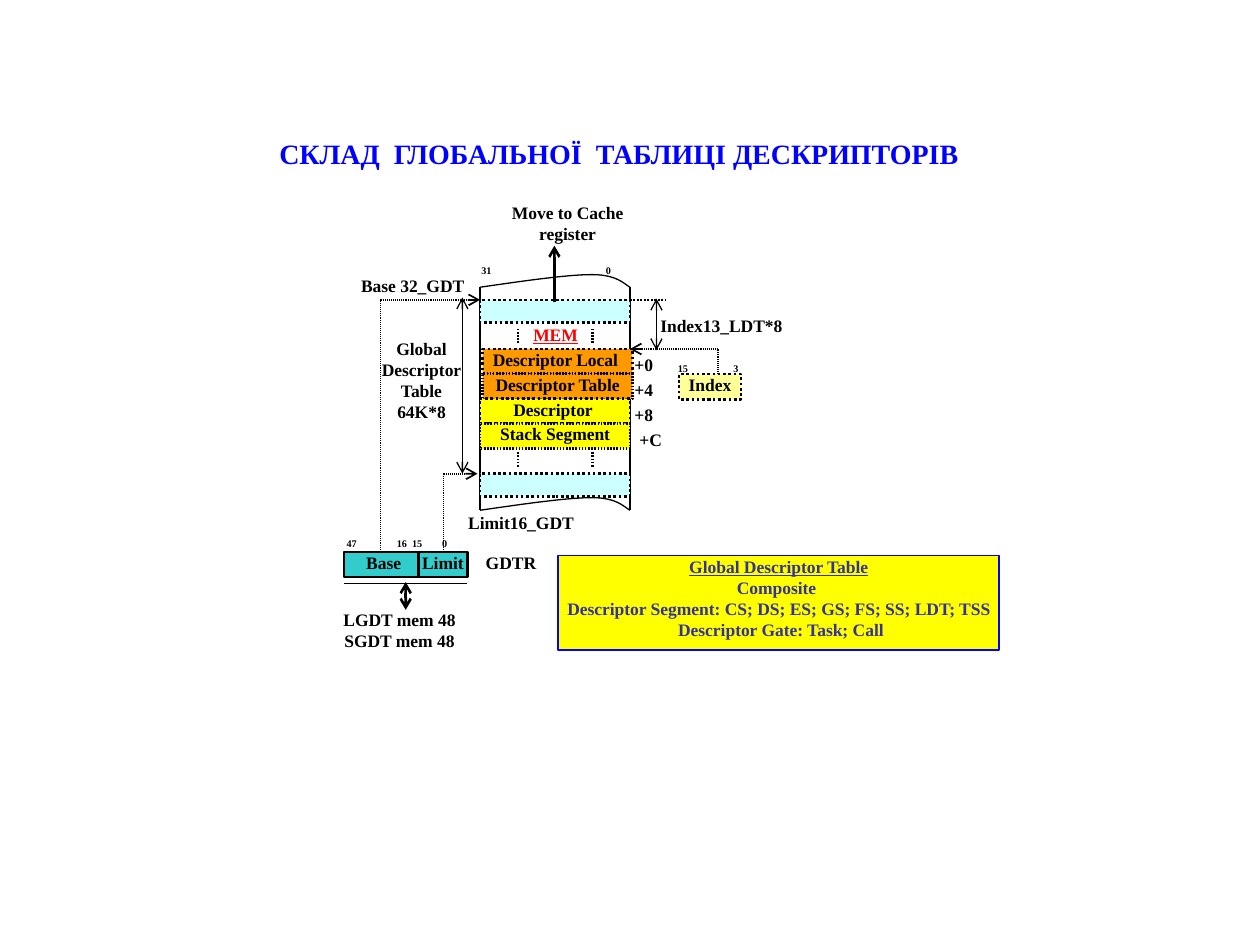
"""Build a slide on the composition of the global descriptor table."""
from lxml.etree import SubElement
from pptx import Presentation
from pptx.dml.color import RGBColor
from pptx.enum.dml import MSO_LINE_DASH_STYLE as Dash
from pptx.enum.shapes import MSO_CONNECTOR as Link, MSO_SHAPE as Shape
from pptx.enum.text import MSO_ANCHOR as Anchor, MSO_AUTO_SIZE as Fit, PP_ALIGN as Align
from pptx.oxml.ns import qn
from pptx.util import Inches, Pt

BLACK = RGBColor(0, 0, 0)
WHITE = RGBColor(255, 255, 255)
RED = RGBColor(255, 0, 0)
BLUE = RGBColor(0, 0, 255)
INDIGO = RGBColor(0x33, 0x33, 0x99)
YELLOW = RGBColor(255, 255, 0)
CREAM = RGBColor(255, 255, 0x99)
ORANGE = RGBColor(255, 0x99, 0)
CYAN = RGBColor(0xCC, 255, 255)
TEAL = RGBColor(0x33, 0xCC, 0xCC)
FONT = "Times New Roman"
FINE = "fine"

LEFT, WIDTH = 3.81, 1.19
RIGHT = LEFT + WIDTH
TOP, BOTTOM = 2.28, 4.05
TABLE_TOP, TABLE_END, ENTRY = 2.38, 3.76, 2.77
ROW, BAND = 0.2, 0.18
REGISTER = 4.38

TITLE = [("СКЛАД", 0), (" ", 4), ("ГЛОБАЛЬНОЇ", 0), (" ", 4), ("ТАБЛИЦІ ДЕСКРИПТОРІВ ", 0)]
LABELS = [
    (["Move to Cache", "register"], 4.01, 1.6, 0.99, 0.41),
    (["Limit16_GDT"], 3.62, 4.06, 1.03, 0.2),
    (["Base 32_GDT"], 2.84, 2.18, 0.87, 0.2),
    (["Index13_LDT*8"], 5.19, 2.5, 1.07, 0.19),
    (["Global", "Descriptor", "Table", "64K*8"], 3.02, 2.68, 0.65, 0.71),
    (["LGDT mem 48", "SGDT mem 48"], 2.63, 4.83, 1.08, 0.3),
    (["GDTR"], 3.81, REGISTER, 0.49, 0.16),
]
BITS = [
    (2.08, [("31", 3.82), ("0", 4.81)]),
    (2.86, [("15", 5.38), ("3", 5.82)]),
    (4.25, [("47", 2.75), ("16", 3.15), ("15", 3.27), ("0", 3.51)]),
]
ENTRIES = [
    ("Descriptor Local ", ORANGE, Dash.ROUND_DOT, 0.02, "+0", 0.16),
    ("Descriptor Table", ORANGE, FINE, 0.02, "+4", 0.16),
    ("Descriptor ", YELLOW, Dash.ROUND_DOT, 0, "+8", 0.16),
    ("Stack Segment", YELLOW, FINE, 0, "+C", 0.27),
]
REGISTERS = [
    ("Base", TEAL, 2.73, REGISTER, 0.63, Dash.SOLID),
    ("Limit", TEAL, 3.32, REGISTER, 0.39, Dash.SOLID),
    ("Index", CREAM, 5.39, 2.97, 0.49, Dash.ROUND_DOT),
]
SUMMARY = [
    "Global Descriptor Table",
    "Composite ",
    "Descriptor Segment: CS; DS; ES; GS; FS; SS; LDT; TSS",
    " Descriptor Gate: Task; Call",
]
LINES = [
    (3.02, REGISTER, 3.02, TABLE_TOP, 1, "", FINE),
    (3.02, TABLE_TOP, LEFT, TABLE_TOP, 1, "tail", FINE),
    (3.52, REGISTER, 3.52, TABLE_END, 1, "", FINE),
    (3.52, TABLE_END, 3.79, TABLE_END, 1, "tail", FINE),
    (RIGHT, TABLE_TOP, 5.29, TABLE_TOP, 1, "", Dash.ROUND_DOT),
    (5.7, ENTRY, RIGHT, ENTRY, 1, "tail", FINE),
    (5.7, 2.97, 5.7, ENTRY, 1, "", FINE),
    (3.67, 2.36, 3.67, TABLE_END, 0.75, "head tail", Dash.SOLID),
    (5.21, 2.37, 5.21, 2.78, 0.75, "head tail", Dash.SOLID),
    (2.73, 4.63, 3.71, 4.63, 0.5, "", Dash.SOLID),
    (3.22, 4.84, 3.22, 4.62, 1.5, "head tail", Dash.SOLID),
    (4.4, 2.4, 4.4, 1.95, 1.5, "tail", Dash.SOLID),
]
ARC = [(0, 0.1), (0.35, 0.05), (0.69, 0), (0.89, 0), (1.09, 0), (1.15, 0.08), (WIDTH, 0.1)]


def add_span(para, text, size, color, gap=0):
    span = para.add_run()
    span.text = text
    for name, value in dict(name=FONT, size=Pt(size), bold=True).items():
        setattr(span.font, name, value)
    span.font.color.rgb = color
    if gap:
        span.font._element.set("spc", str(gap * 100))


def write(shape, lines, size=10, color=BLACK, align=Align.CENTER):
    frame = shape.text_frame
    settings = dict(margin_left=0, margin_right=0, margin_top=0, margin_bottom=0,
                    auto_size=Fit.NONE, word_wrap=True, vertical_anchor=Anchor.TOP)
    for name, value in settings.items():
        setattr(frame, name, value)
    for index, line in enumerate(lines):
        para = frame.add_paragraph() if index else frame.paragraphs[0]
        para.alignment = align
        for text, gap in [(line, 0)] if isinstance(line, str) else line:
            add_span(para, text, size, color, gap)
    return frame


def set_line(line, color, weight, dash):
    line.color.rgb = color
    line.width = Pt(weight)
    if dash == FINE:
        pattern = SubElement(line._get_or_add_ln(), qn("a:custDash"))
        SubElement(pattern, qn("a:ds"), d="60000", sp="60000")
    else:
        line.dash_style = dash


def add_box(page, lines, x, y, w, h, fill=WHITE, line=None, dash=Dash.SOLID, weight=1.5, **text):
    box = page.shapes.add_shape(Shape.RECTANGLE, *map(Inches, (x, y, w, h)))
    box.shadow.inherit = False
    box.fill.solid()
    box.fill.fore_color.rgb = fill
    if line is None:
        box.line.fill.background()
    else:
        set_line(box.line, line, weight, dash)
    return write(box, lines, **text)


def add_line(page, x1, y1, x2, y2, weight, ends="", dash=Dash.SOLID):
    line = page.shapes.add_connector(Link.STRAIGHT, *map(Inches, (x1, y1, x2, y2)))
    set_line(line.line, BLACK, weight, dash)
    for end in ends.split():
        SubElement(line.line._get_or_add_ln(), qn(f"a:{end}End"), type="arrow")
    SubElement(line._element.spPr, qn("a:effectLst"))


def add_arc(page, top, steps=16):
    points = []
    for curve in (ARC[:4], ARC[3:]):
        for step in range(steps + 1):
            t = step / steps
            shares = ((1 - t) ** 3, 3 * t * (1 - t) ** 2, 3 * t * t * (1 - t), t ** 3)
            x, y = (sum(s * p[axis] for s, p in zip(shares, curve)) for axis in (0, 1))
            points.append((Inches(LEFT + x), Inches(top + y)))
    builder = page.shapes.build_freeform(*points[0])
    builder.add_line_segments(points[1:], close=False)
    arc = builder.convert_to_shape()
    arc.shadow.inherit = False
    arc.fill.background()
    set_line(arc.line, BLACK, 0.75, Dash.SOLID)


def main():
    deck = Presentation()
    deck.slide_width, deck.slide_height = Inches(10), Inches(7.5)
    page = deck.slides.add_slide(deck.slide_layouts[5])
    title = page.shapes.title
    title.left, title.top, title.width, title.height = map(Inches, (2, 1.08, 5.88, 0.25))
    write(title, [TITLE], size=16, color=BLUE)

    for label in LABELS:
        add_box(page, *label)
    memory = add_box(page, ["MEM"], 4.21, 2.57, 0.4, 0.16, color=RED)
    memory.paragraphs[0].runs[0].font.underline = True
    for y, marks in BITS:
        for text, x in marks:
            bit = add_box(page, [text], x, y, 0.06 * len(text), 0.12, align=Align.LEFT)
            bit.word_wrap = True
            bit.paragraphs[0].runs[0].font._element.set("baseline", "30000")
    for x in (LEFT, RIGHT):
        add_line(page, x, TOP, x, BOTTOM, 1.5)
    for y in (TABLE_TOP, TABLE_END):
        add_box(page, [], LEFT, y, WIDTH, BAND, CYAN, BLACK, Dash.ROUND_DOT)
    for index, (text, fill, dash, shift, offset, width) in enumerate(ENTRIES):
        y = ENTRY + index * (ROW - 0.003)
        add_box(page, [offset], 5.03, y + 0.04, width, 0.16)
        add_box(page, [text], LEFT + shift, y, WIDTH, ROW, fill, BLACK, dash)
    for text, fill, x, y, width, dash in REGISTERS:
        add_box(page, [text], x, y, width, ROW, fill, BLACK, dash)

    for y in (TOP, BOTTOM):
        add_arc(page, y - 0.1)
    for x in (4.11, 4.7):
        for y in (2.61, 3.59):
            add_line(page, x, y, x, y + 0.12, 1.5, dash=FINE)
    for line in LINES:
        add_line(page, *line)

    summary = add_box(page, SUMMARY, 4.43, 4.41, 3.5, 0.75, YELLOW, BLUE, weight=0.75, color=INDIGO)
    summary.paragraphs[0].runs[0].font.underline = True
    deck.save("out.pptx")


if __name__ == "__main__":
    main()
